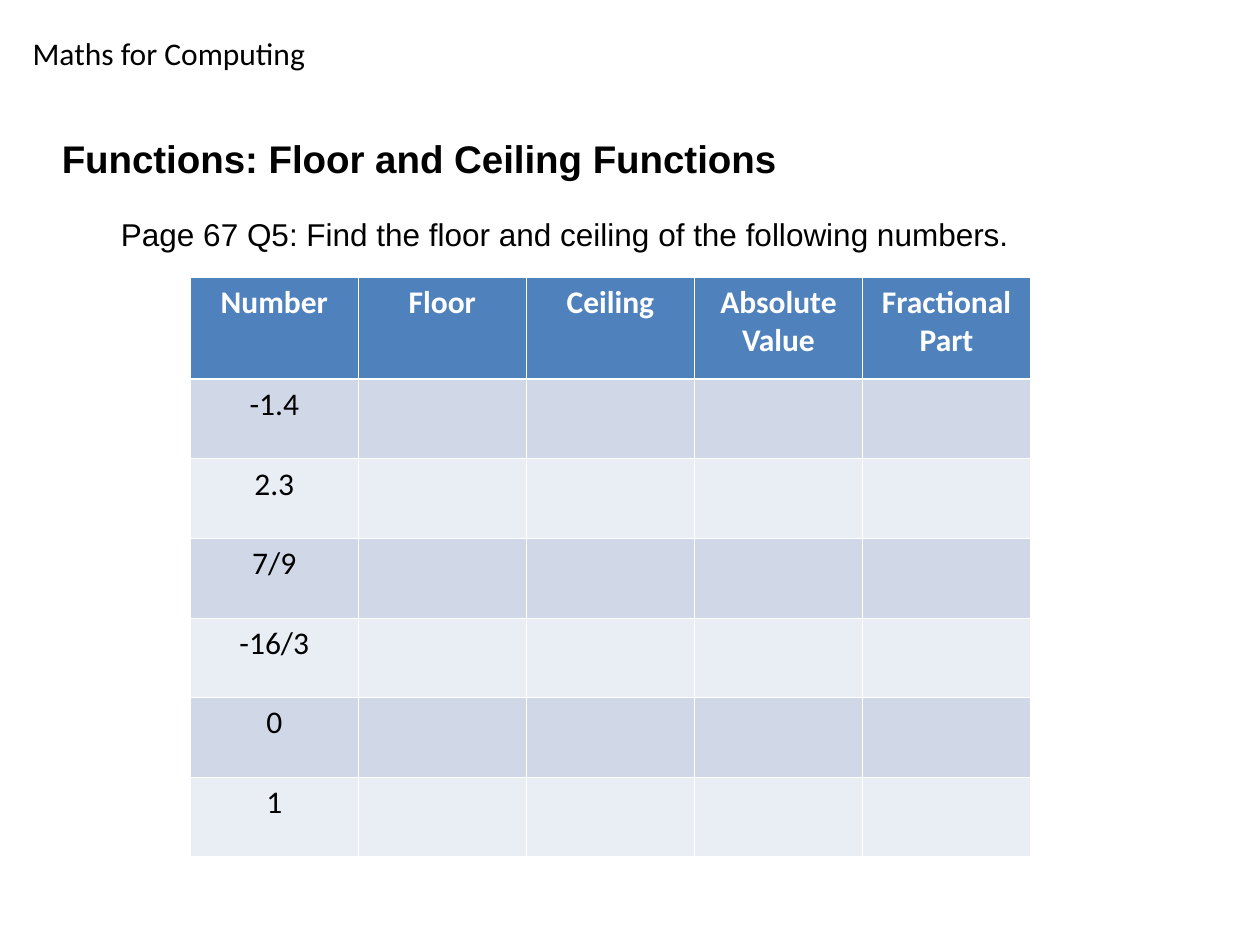
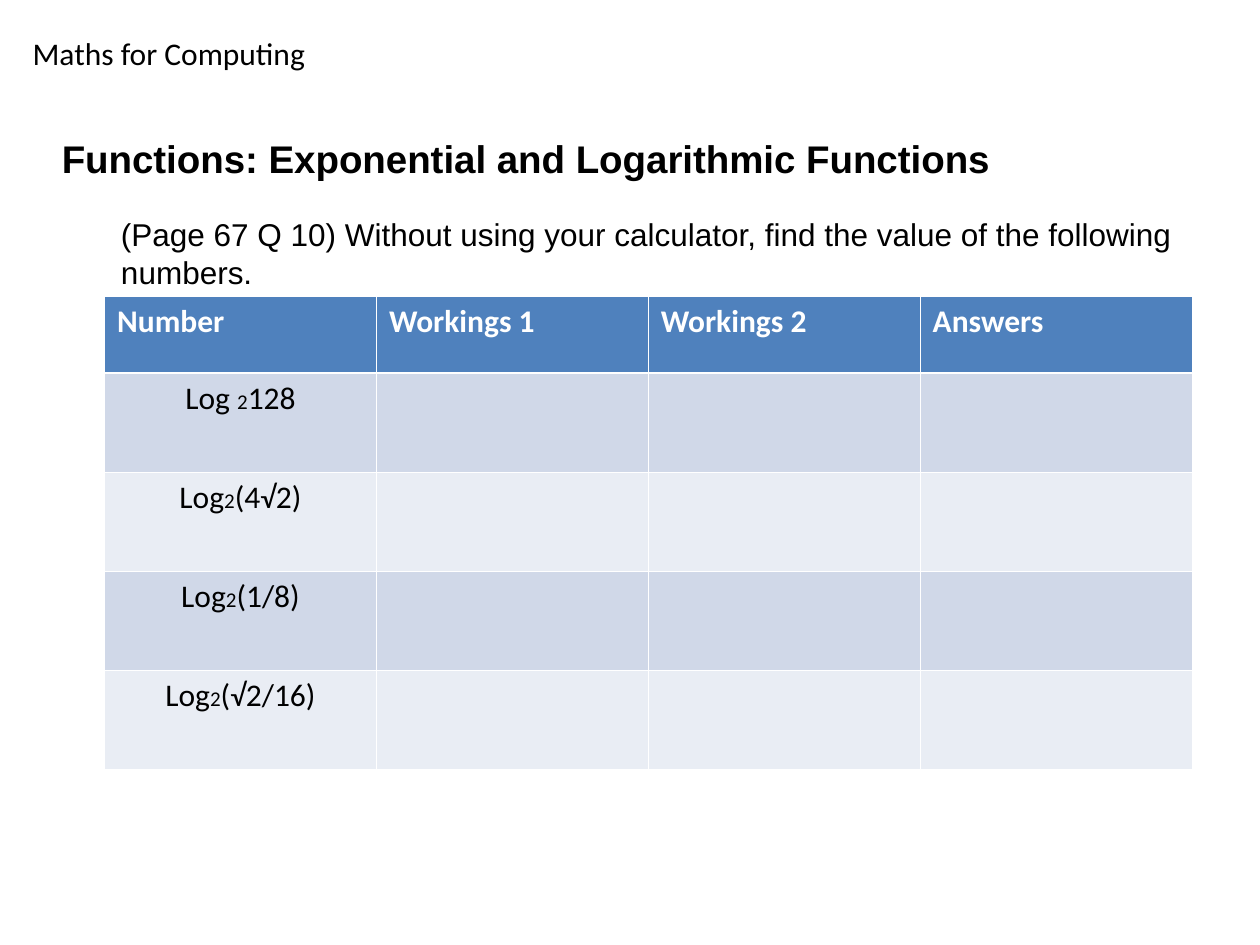
import pptx
import pptx.dml.color
import pptx.enum.text
import pptx.oxml
import pptx.oxml.ns
import pptx.util
import lxml.etree

SLIDE_WIDTH, SLIDE_HEIGHT = 10, 7.5
BLACK, WHITE = "000000", "FFFFFF"
HEADER_FILL, BAND_FILLS = "4F81BD", ("D0D8E8", "E9EDF4")
THIN, THICK = 0.45, 1.47
LEFT, CENTER = pptx.enum.text.PP_ALIGN.LEFT, pptx.enum.text.PP_ALIGN.CENTER

# Boxes are left, top, width, height in inches
COURSE_BOX = (0.16, 0.22, 6.91, 0.4)
TITLE_BOX = (0.39, 1.02, 8.12, 0.43)
QUESTION_BOX = (0.39, 1.66, 9.15, 5.6)


def color(hex_code):
    return pptx.dml.color.RGBColor.from_string(hex_code)


def inches(box):
    return [pptx.util.Inches(length) for length in box]


def style(paragraph, size, face, hex_code=BLACK, bold=False, align=LEFT):
    paragraph.alignment = align
    font = paragraph.font
    font.size, font.name, font.bold = pptx.util.Pt(size), face, bold
    font.color.rgb = color(hex_code)


def add_course_name(slide, layout):
    """Make the course name on a slide, then move it to the shared layout."""
    course = slide.shapes.add_textbox(*inches(COURSE_BOX))
    course.text_frame.word_wrap = True
    course.text_frame.text = "Maths for Computing"
    style(course.text_frame.paragraphs[0], 18, "Calibri")
    layout.shapes.element.append(course.element)


def fill_placeholder(placeholder, box, text, size, bold=False):
    placeholder.left, placeholder.top, placeholder.width, placeholder.height = inches(box)
    frame = placeholder.text_frame
    frame.text = text
    frame.word_wrap = True
    frame.auto_size = pptx.enum.text.MSO_AUTO_SIZE.NONE
    frame.vertical_anchor = pptx.enum.text.MSO_ANCHOR.TOP
    paragraph = frame.paragraphs[0]
    paragraph.space_before = pptx.util.Pt(0)
    style(paragraph, size, "Arial", bold=bold)
    return paragraph


def add_question(slide, text):
    paragraph = fill_placeholder(slide.placeholders[1], QUESTION_BOX, text, 18)
    paragraph.level = 1
    properties = paragraph._p.get_or_add_pPr()
    properties.set("marL", str(pptx.util.Inches(0.47)))
    properties.set("indent", "0")
    lxml.etree.SubElement(properties, pptx.oxml.ns.qn("a:buNone"))


def set_borders(cell, row):
    widths = {"L": THIN, "R": THIN, "T": THICK if row == 1 else THIN,
              "B": THICK if row == 0 else THIN}
    properties = cell._tc.get_or_add_tcPr()
    for side, width in widths.items():
        properties.append(pptx.oxml.parse_xml(
            f'<a:ln{side} {pptx.oxml.ns.nsdecls("a")} w="{pptx.util.Pt(width)}">'
            f'<a:solidFill><a:srgbClr val="{WHITE}"/></a:solidFill></a:ln{side}>'))


def write_number(paragraph, parts):
    """Write a plain number, or a logarithm given as name, base and argument."""
    if isinstance(parts, str):
        paragraph.text = parts
        return
    for part in parts:
        paragraph.add_run().text = part
    paragraph.runs[1].font.size = pptx.util.Pt(12)


def add_answer_table(slide, box, headings, numbers, header_height, header_align):
    """Add a table with numbers in the first column and room for answers."""
    left, top, width, height = box
    table = slide.shapes.add_table(len(numbers) + 1, len(headings), *inches(box)).table
    for column in table.columns:
        column.width = pptx.util.Inches(width / len(headings))
    for row, line in enumerate(table.rows):
        band_height = (height - header_height) / len(numbers)
        line.height = pptx.util.Inches(band_height if row else header_height)
        for column, cell in enumerate(line.cells):
            set_borders(cell, row)
            cell.fill.solid()
            cell.fill.fore_color.rgb = color(BAND_FILLS[(row - 1) % 2] if row else HEADER_FILL)
            paragraph = cell.text_frame.paragraphs[0]
            if row == 0:
                paragraph.text = headings[column]
                style(paragraph, 18, "Calibri", WHITE, True, header_align)
            else:
                if column == 0:
                    write_number(paragraph, numbers[row - 1])
                style(paragraph, 18, "Calibri", align=CENTER)


def add_exercise(deck, layout, title, question):
    slide = deck.slides.add_slide(layout)
    fill_placeholder(slide.shapes.title, TITLE_BOX, title, 22, bold=True)
    add_question(slide, question)
    return slide


def main():
    deck = pptx.Presentation()
    deck.slide_width = pptx.util.Inches(SLIDE_WIDTH)
    deck.slide_height = pptx.util.Inches(SLIDE_HEIGHT)
    layout = deck.slide_layouts[1]

    rounding = add_exercise(
        deck, layout, "Functions: Floor and Ceiling Functions",
        "Page 67 Q5: Find the floor and ceiling of the following numbers.")
    add_course_name(rounding, layout)
    add_answer_table(
        rounding, (1.51, 2.2, 6.67, 4.6),
        ["Number", "Floor", "Ceiling", "Absolute Value", "Fractional Part"],
        ["-1.4", "2.3", "7/9", "-16/3", "0", "1"], 0.81, CENTER)

    logarithms = add_exercise(
        deck, layout, "Functions: Exponential and Logarithmic Functions",
        "(Page 67 Q 10) Without using your calculator, find the value of the following numbers.")
    add_answer_table(
        logarithms, (0.83, 2.35, 8.63, 3.76),
        ["Number", "Workings 1", "Workings 2", "Answers"],
        [("Log ", "2", "128"), ("Log", "2", "(4√2)"),
         ("Log", "2", "(1/8)"), ("Log", "2", "(√2/16)")], 0.61, LEFT)

    deck.save("out.pptx")


if __name__ == "__main__":
    main()
